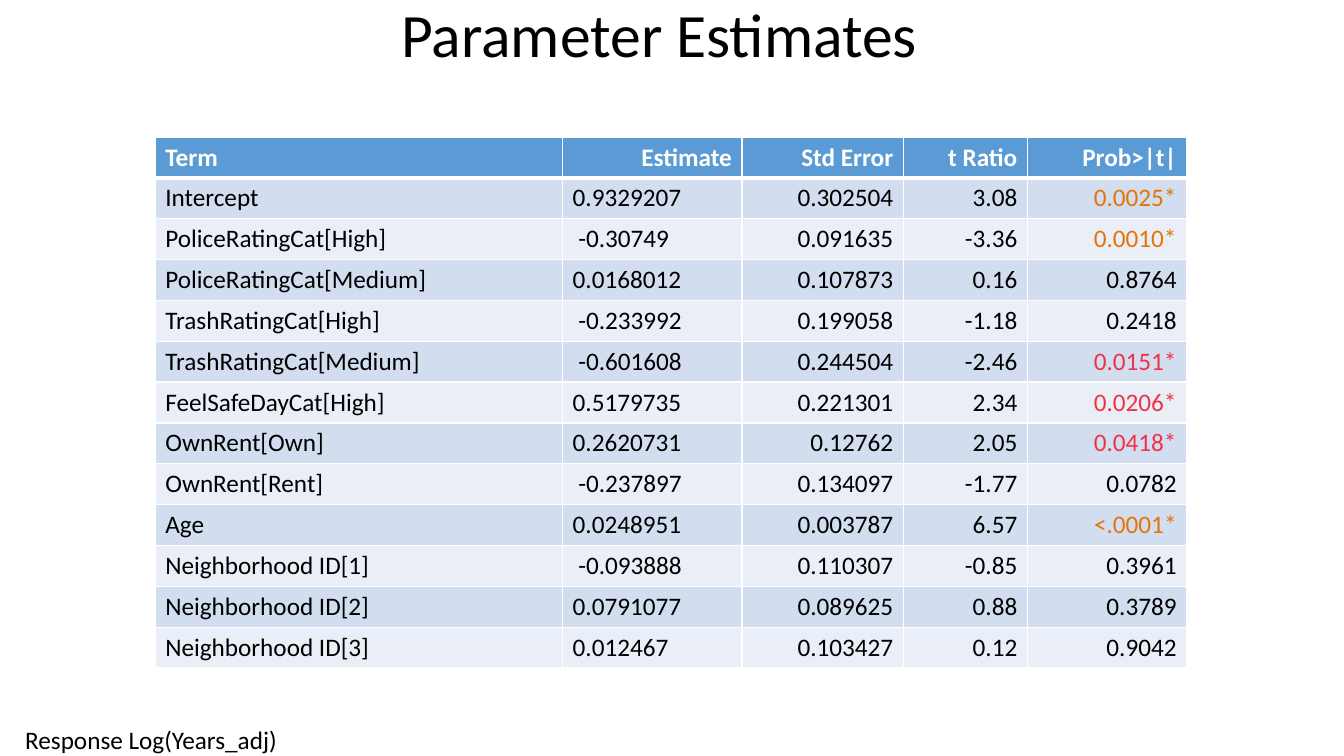
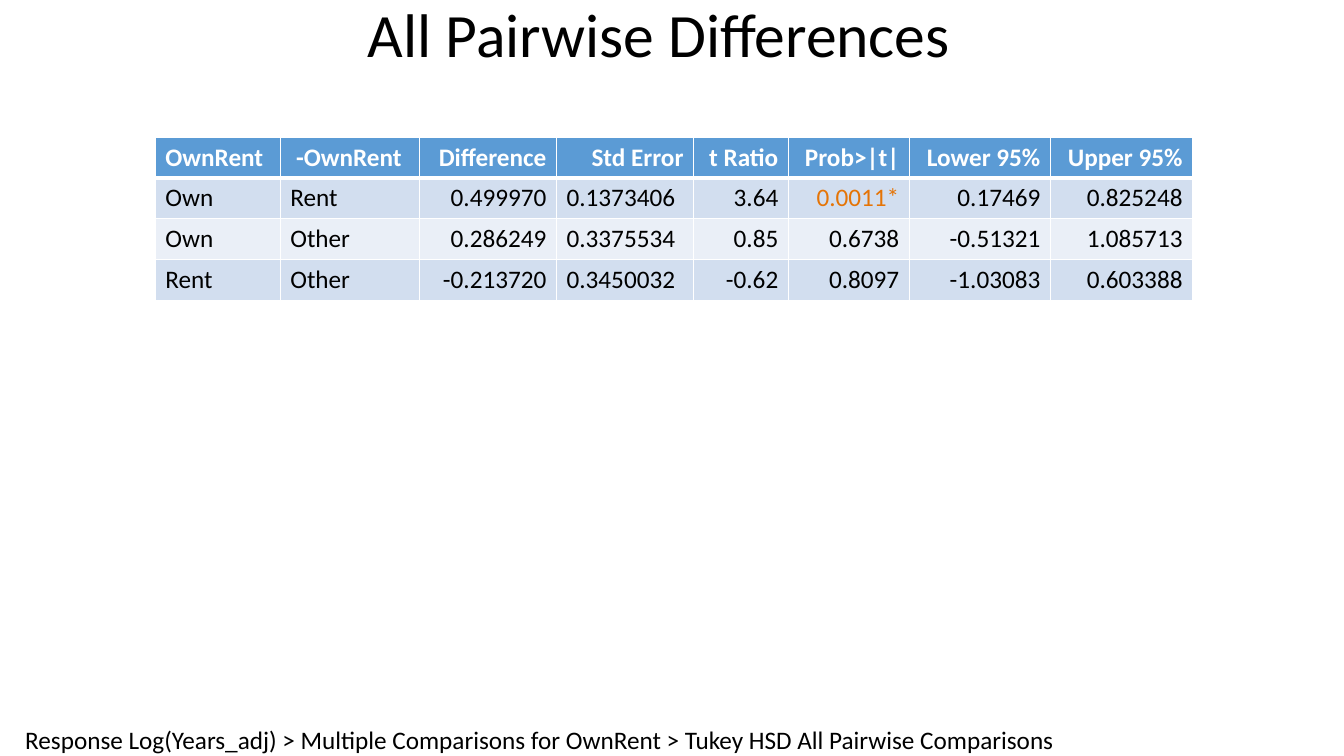
from lxml.etree import SubElement
from pptx import Presentation
from pptx.dml.color import RGBColor
from pptx.enum.text import MSO_ANCHOR, MSO_AUTO_SIZE, PP_ALIGN
from pptx.oxml.ns import qn
from pptx.util import Inches, Pt

# Shared look
FONT = "Calibri"
BLACK, WHITE = "000000", "FFFFFF"
HEADER_FILL = "5B9BD5"
BAND_FILLS = ("D2DEEF", "EAEFF7")
STRONG, SIGNIFICANT = "E57406", "F03246"
ALIGN = {"l": PP_ALIGN.LEFT, "c": PP_ALIGN.CENTER, "r": PP_ALIGN.RIGHT}

# Shared boxes: left, top, width, height
TITLE_BOX = (0, 0, 13.08, 0.75)
TABLE_ORIGIN = (1.54, 1.36)
ROW_HEIGHT = 5.27 / 13
FOOTER_ORIGIN = (0.25, 7.19)
FOOTER_HEIGHT = 0.31

ESTIMATES = [
    ("Term", "Estimate", "Std Error", "t Ratio", "Prob>|t|"),
    ("Intercept", "0.9329207", "0.302504", "3.08", "0.0025*"),
    ("PoliceRatingCat[High]", " -0.30749", "0.091635", " -3.36", "0.0010*"),
    ("PoliceRatingCat[Medium]", "0.0168012", "0.107873", "0.16", "0.8764"),
    ("TrashRatingCat[High]", " -0.233992", "0.199058", " -1.18", "0.2418"),
    ("TrashRatingCat[Medium]", " -0.601608", "0.244504", " -2.46", "0.0151*"),
    ("FeelSafeDayCat[High]", "0.5179735", "0.221301", "2.34", "0.0206*"),
    ("OwnRent[Own]", "0.2620731", "0.12762", "2.05", "0.0418*"),
    ("OwnRent[Rent]", " -0.237897", "0.134097", " -1.77", "0.0782"),
    ("Age", "0.0248951", "0.003787", "6.57", "<.0001*"),
    ("Neighborhood ID[1]", " -0.093888", "0.110307", " -0.85", "0.3961"),
    ("Neighborhood ID[2]", "0.0791077", "0.089625", "0.88", "0.3789"),
    ("Neighborhood ID[3]", "0.012467", "0.103427", "0.12", "0.9042"),
]

DIFFERENCES = [
    ("OwnRent", " -OwnRent", "Difference", "Std Error", "t Ratio",
     "Prob>|t|", "Lower 95%", "Upper 95%"),
    ("Own", "Rent", "0.499970", "0.1373406", "3.64",
     "0.0011*", "0.17469", "0.825248"),
    ("Own", "Other", "0.286249", "0.3375534", "0.85",
     "0.6738", " -0.51321", "1.085713"),
    ("Rent", "Other", " -0.213720", "0.3450032", " -0.62",
     "0.8097", " -1.03083", "0.603388"),
]


def rgb(value):
    return RGBColor.from_string(value)


def write(frame, text, size=18, color=BLACK, bold=False, align="l", spacing=None):
    paragraph = frame.paragraphs[0]
    paragraph.alignment = ALIGN[align]
    paragraph.line_spacing = spacing
    run = paragraph.add_run()
    run.text = text
    font = run.font
    font.name, font.size, font.bold = FONT, Pt(size), bold
    font.color.rgb = rgb(color)


def set_borders(cell, top=1, bottom=1):
    properties = cell._tc.get_or_add_tcPr()
    for side, width in (("L", 1), ("R", 1), ("T", top), ("B", bottom)):
        line = SubElement(properties, qn(f"a:ln{side}"), w=str(Pt(width)))
        fill = SubElement(line, qn("a:solidFill"))
        SubElement(fill, qn("a:srgbClr"), val=WHITE)


def value_color(text):
    """Starred probabilities stand out, more strongly below 0.01."""
    if not text.endswith("*"):
        return BLACK
    return STRONG if float(text.strip("<*")) < 0.01 else SIGNIFICANT


def add_title(slide, text, box):
    title = slide.shapes.title
    title.left, title.top, title.width, title.height = map(Inches, box)
    frame = title.text_frame
    frame.auto_size = MSO_AUTO_SIZE.NONE
    frame.vertical_anchor = MSO_ANCHOR.MIDDLE
    write(frame, text, size=44, align="c", spacing=0.9)


def add_results(slide, rows, widths, header_align, body_align, origin):
    left, top = origin
    table = slide.shapes.add_table(
        len(rows), len(widths), Inches(left), Inches(top),
        Inches(sum(widths)), Inches(ROW_HEIGHT * len(rows))).table
    for column, width in zip(table.columns, widths):
        column.width = Inches(width)
    for r, values in enumerate(rows):
        header = r == 0
        aligns = header_align if header else body_align
        for c, (text, align) in enumerate(zip(values, aligns)):
            cell = table.cell(r, c)
            # A thick rule separates the header from the body
            set_borders(cell, top=3 if r == 1 else 1, bottom=3 if header else 1)
            cell.fill.solid()
            cell.fill.fore_color.rgb = rgb(
                HEADER_FILL if header else BAND_FILLS[(r - 1) % 2])
            write(cell.text_frame, text, bold=header, align=align,
                  color=WHITE if header else value_color(text))


def add_footer(slide, text, origin, width):
    left, top = origin
    footer = slide.shapes.add_textbox(
        Inches(left), Inches(top), Inches(width), Inches(FOOTER_HEIGHT))
    frame = footer.text_frame
    frame.margin_left = frame.margin_right = 0
    frame.margin_top = frame.margin_bottom = 0
    frame.word_wrap = False
    frame.auto_size = MSO_AUTO_SIZE.SHAPE_TO_FIT_TEXT
    write(frame, text)


def add_results_slide(deck, title, footer, footer_width, **results):
    slide = deck.slides.add_slide(deck.slide_layouts.get_by_name("Title Only"))
    add_footer(slide, footer, FOOTER_ORIGIN, footer_width)
    add_title(slide, title, TITLE_BOX)
    add_results(slide, origin=TABLE_ORIGIN, **results)


def main():
    deck = Presentation()
    deck.slide_width, deck.slide_height = Inches(13.33), Inches(7.5)
    response = "Response Log(Years_adj)"

    add_results_slide(
        deck, "Parameter Estimates", response, 2.53,
        rows=ESTIMATES, widths=(4.04, 1.78, 1.6, 1.23, 1.58),
        header_align="lrrrr", body_align="llrrr")
    add_results_slide(
        deck, "All Pairwise Differences",
        f"{response} > Multiple Comparisons for OwnRent"
        " > Tukey HSD All Pairwise Comparisons", 10.32,
        rows=DIFFERENCES, widths=(1.24, 1.38, 1.36, 1.36, 0.94, 1.2, 1.4, 1.41),
        header_align="llrrrrrr", body_align="llrlrrrr")

    deck.save("out.pptx")


if __name__ == "__main__":
    main()
